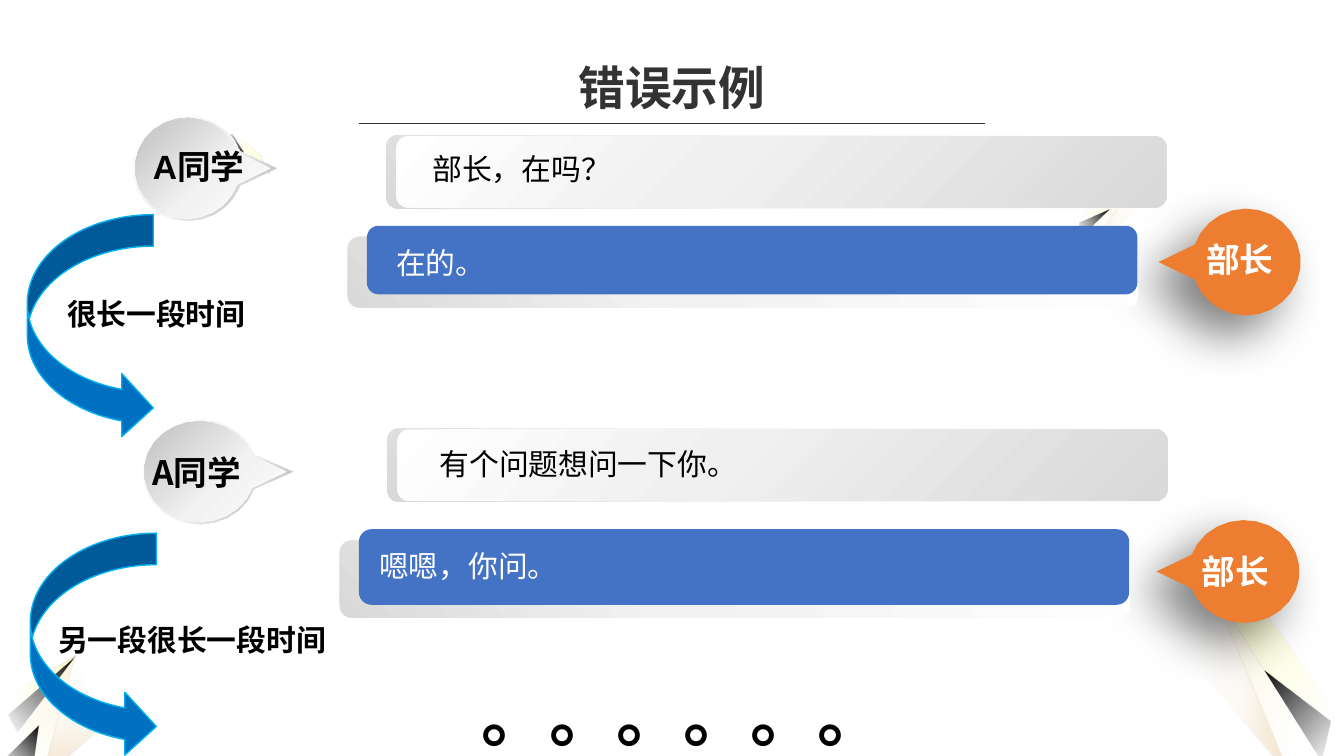
import math
from dataclasses import dataclass

from pptx import Presentation
from pptx import util as u
from pptx.dml.color import RGBColor
from pptx.enum import shapes, text
from pptx.oxml import parse_xml
from pptx.oxml.ns import nsdecls, qn

Point = tuple[float, float]
Stops = list[tuple[int, str, int]]  # position %, colour, opacity %
ARIAL, NOTO = "Arial", "Noto Sans CJK SC"
LEFT, CENTER, JUSTIFY = text.PP_ALIGN.LEFT, text.PP_ALIGN.CENTER, text.PP_ALIGN.JUSTIFY

CREAM: Stops = [(0, "FAE9AB", 40), (41, "FAE9AB", 22), (85, "FAE9AB", 0)]
TAN: Stops = [(0, "E9CC9E", 55), (50, "E9CC9E", 12), (98, "E9CC9E", 0)]
LEMON: Stops = [(0, "FFFFC1", 100), (42, "FFFFC1", 42), (88, "FFFFC1", 0)]
INK: Stops = [(0, "0B0B0B", 100), (50, "0B0B0B", 47), (100, "0B0B0B", 0)]
RIM: Stops = [(0, "FFFFFF", 100), (55, "F2F2F2", 100), (100, "A6A6A6", 100)]
FACE: Stops = [(0, "FFFFFF", 100), (43, "F2F2F2", 100), (100, "BFBFBF", 100)]
BAR_BACK: Stops = [(0, "FFFFFF", 100), (62, "F2F2F2", 100), (100, "D9D9D9", 100)]
BAR_FRONT: Stops = [(0, "FFFFFF", 100), (42, "F0F0F0", 100), (100, "D9D9D9", 100)]


@dataclass
class Facet:
    points: list[Point]
    stops: Stops
    angle: float


@dataclass
class Crystal:
    """A mirrored, scaled repeat of the large crystal; turn is in degrees."""
    tip: Point
    turn: float
    scale: float


@dataclass
class Bubble:
    center: Point
    radii: Point
    tip_x: float


@dataclass
class Bar:
    left: float
    top: float
    height: float


@dataclass
class Label:
    words: str
    box: tuple[float, float, float, float]
    size: float = 21.3
    color: str = "000000"
    font: str = NOTO
    bold: bool = False
    align: text.PP_ALIGN = LEFT
    spacing: float | None = None


SMALL_CRYSTAL = [
    Facet([(0.18, 7.28), (0.74, 6.5), (0.42, 7.73)], CREAM, 132),
    Facet([(0.99, 7.23), (0.41, 7.73), (0.74, 6.5)], TAN, 267),
    Facet([(0.1, 6.89), (0.76, 6.5), (0.09, 7.09)], LEMON, 154),
    Facet([(0.09, 7.09), (0.74, 6.52), (0.18, 7.27)], INK, 138),
    Facet([(0.07, 7.51), (0.38, 7.2), (0.31, 7.7)], INK, 138),
]
TIP = (12.01, 5.78)
LARGE_CRYSTAL = [
    Facet([(12.89, 7.24), TIP, (12.81, 7.78)], CREAM, 48),
    Facet([(11.87, 6.61), (12.79, 7.69), TIP], TAN, 183),
    Facet([(12.63, 6.18), TIP, (12.54, 6.65), (13.39, 7.3)], LEMON, 26),
    Facet([(13.2, 7.15), (12.54, 6.65), (13.11, 7.55)], INK, 42),
]
CRYSTALS = [Crystal((11.27, 1.8), 193, 0.38), Crystal((2.67, 1.72), 276, 0.29)]
RIMS = [Bubble((1.86, 1.67), (0.55, 0.52), 2.74), Bubble((1.98, 4.68), (0.57, 0.52), 2.9)]
FACES = [Bubble((1.86, 1.67), (0.52, 0.5), 2.68), Bubble((1.98, 4.68), (0.55, 0.5), 2.84)]
CHIEFS = [Bubble((12.36, 2.6), (0.54, 0.53), 11.49), Bubble((12.34, 5.67), (0.55, 0.51), 11.47)]
QUESTION_BARS = [Bar(3.83, 1.34, 0.73), Bar(3.84, 4.25, 0.73)]
ANSWER_BARS = [Bar(3.45, 2.35, 0.7), Bar(3.37, 5.36, 0.77)]
ARROWS = [(0.27, 2.13), (0.3, 5.29)]
LABELS = [
    Label("部长，在吗？", (4.29, 1.57, 6.93, 0.28), font=ARIAL, align=JUSTIFY, spacing=20),
    Label("A同学", (1.33, 1.45, 1.28, 0.4), 24, font=ARIAL, bold=True, align=CENTER),
    Label("部长", (11.63, 2.37, 1.33, 0.4), 24, "FFFFFF", ARIAL, True, CENTER),
    Label("在的。", (3.93, 2.5, 6.85, 0.28), color="FCFCFC", font=ARIAL, align=JUSTIFY, spacing=20),
    Label("很长一段时间", (0.56, 2.93, 1.98, 0.36), bold=True, align=CENTER),
    Label("A同学", (1.51, 4.48, 1.03, 0.4), 24, bold=True),
    Label("有个问题想问一下你。", (4.36, 4.42, 4.62, 0.36)),
    Label("部长", (11.92, 5.47, 0.83, 0.4), 24, "FFFFFF", bold=True),
    Label("嗯嗯，你问。", (3.76, 5.43, 3.52, 0.36), color="FFFFFF"),
    Label("另一段很长一段时间", (0.48, 6.17, 2.85, 0.36), bold=True, align=CENTER),
    Label("。。。。。。", (4.78, 6.69, 5.06, 0.81), 48, bold=True),
]


def inch(value: float) -> u.Cm:
    return u.Cm(value * 2.54)


def rgb(color: str) -> RGBColor:
    return RGBColor.from_string(color)


def paint(shape, color: str) -> None:
    shape.shadow.inherit = False
    shape.line.fill.background()
    shape.fill.solid()
    shape.fill.fore_color.rgb = rgb(color)


def shade(shape, stops: Stops, angle: float) -> None:
    """Fill with a linear gradient whose angle runs clockwise from the right."""
    paint(shape, stops[0][1])
    marks = "".join(
        f'<a:gs pos="{place * 1000}"><a:srgbClr val="{color}">'
        f'<a:alpha val="{opacity * 1000}"/></a:srgbClr></a:gs>'
        for place, color, opacity in stops)
    gradient = parse_xml(
        f'<a:gradFill {nsdecls("a")} rotWithShape="1"><a:gsLst>{marks}</a:gsLst>'
        f'<a:lin ang="{round(angle % 360 * 60000)}" scaled="0"/></a:gradFill>')
    properties = shape.element.spPr
    properties.replace(properties.find(qn("a:solidFill")), gradient)


def cast_shadow(shape) -> None:
    shape.element.spPr.find(qn("a:effectLst")).append(parse_xml(
        f'<a:outerShdw {nsdecls("a")} blurRad="{u.Pt(35)}" dist="{u.Pt(20)}" dir="8100000" '
        'algn="tr" rotWithShape="0"><a:srgbClr val="000000"><a:alpha val="50000"/>'
        '</a:srgbClr></a:outerShdw>'))


def add_outline(page, points: list[Point]):
    corners = [(inch(x), inch(y)) for x, y in points]
    builder = page.shapes.build_freeform(*corners[0])
    builder.add_line_segments(corners[1:], close=True)
    return builder.convert_to_shape()


def add_facet(page, facet: Facet) -> None:
    shade(add_outline(page, facet.points), facet.stops, facet.angle)


def mirrored(facet: Facet, crystal: Crystal) -> Facet:
    cos, sin = math.cos(math.radians(crystal.turn)), math.sin(math.radians(crystal.turn))
    points = []
    for x, y in facet.points:
        dx, dy = (x - TIP[0]) * crystal.scale, (y - TIP[1]) * crystal.scale
        points.append((crystal.tip[0] + dx * cos + dy * sin, crystal.tip[1] + dx * sin - dy * cos))
    return Facet(points, facet.stops, crystal.turn - facet.angle)


def add_bubble(page, bubble: Bubble):
    """An ellipse with a pointed tail at the height of its centre."""
    (x, y), (width, height) = bubble.center, bubble.radii
    side = math.copysign(1, bubble.tip_x - x)
    arc = [math.radians(degrees) for degrees in range(19, 342, 14)]
    points = [(x + side * width * math.cos(a), y + height * math.sin(a)) for a in arc]
    return add_outline(page, [(bubble.tip_x, y), *points])


def add_preset(page, kind: shapes.MSO_SHAPE, *box: float):
    return page.shapes.add_shape(kind, *map(inch, box))


def add_bar(page, left: float, top: float, width: float, height: float):
    return add_preset(page, shapes.MSO_SHAPE.ROUNDED_RECTANGLE, left, top, width, height)


def set_font(para, size: float, color: str, name: str, bold: bool) -> None:
    font = para.font
    font.size, font.bold, font.name = u.Pt(size), bold, name
    font.color.rgb = rgb(color)
    if name == NOTO:
        font._element.find(qn("a:latin")).addnext(
            parse_xml(f'<a:ea {nsdecls("a")} typeface="{name}"/>'))


def add_label(page, label: Label) -> None:
    frame = page.shapes.add_textbox(*map(inch, label.box)).text_frame
    frame.margin_left = frame.margin_right = frame.margin_top = frame.margin_bottom = 0
    frame.word_wrap = True
    para = frame.paragraphs[0]
    para.text, para.alignment = label.words, label.align
    if label.spacing:
        para.line_spacing = u.Pt(label.spacing)
    set_font(para, label.size, label.color, label.font, label.bold)


def add_title(page) -> None:
    title = page.shapes.title
    title.left, title.top, title.width, title.height = map(inch, (4.2, 0.53, 4.93, 0.66))
    title.text_frame.text = "错误示例"
    title.text_frame.vertical_anchor = text.MSO_ANCHOR.MIDDLE
    para = title.text_frame.paragraphs[0]
    para.alignment = CENTER
    set_font(para, 33.3, "333333", NOTO, True)
    rule = page.shapes.add_connector(
        shapes.MSO_CONNECTOR.STRAIGHT, *map(inch, (3.56, 1.23, 9.77, 1.23)))
    rule.line.color.rgb, rule.line.width = rgb("333333"), u.Pt(0.75)
    rule.element.spPr.append(parse_xml(f'<a:effectLst {nsdecls("a")}/>'))


def main() -> None:
    deck = Presentation()
    deck.slide_width, deck.slide_height = inch(13.33), inch(7.5)
    page = deck.slides.add_slide(deck.slide_layouts[5])
    repeats = [mirrored(facet, crystal) for crystal in CRYSTALS for facet in LARGE_CRYSTAL]
    for facet in SMALL_CRYSTAL + LARGE_CRYSTAL + repeats:
        add_facet(page, facet)
    add_title(page)
    for rim, face in zip(RIMS, FACES):
        shade(add_bubble(page, rim), RIM, 45)
        shade(add_bubble(page, face), FACE, 225)
    for chief in CHIEFS:
        shape = add_bubble(page, chief)
        paint(shape, "ED7D31")
        cast_shadow(shape)
    for bar in QUESTION_BARS + ANSWER_BARS:
        shade(add_bar(page, bar.left, bar.top, 7.84, bar.height), BAR_BACK, 135)
    for bar in QUESTION_BARS:
        front = add_bar(page, bar.left + 0.1, bar.top + 0.01, 7.64, bar.height - 0.02)
        shade(front, BAR_FRONT, 45)
    for bar in ANSWER_BARS:
        paint(add_bar(page, bar.left + 0.19, bar.top - 0.11, 7.64, bar.height - 0.02), "4472C4")
    for label in LABELS:
        add_label(page, label)
    for left, top in ARROWS:
        arrow = add_preset(page, shapes.MSO_SHAPE.CURVED_RIGHT_ARROW, left, top, 1.25, 2.23)
        paint(arrow, "0070C0")
        arrow.line.color.rgb, arrow.line.width = rgb("00B0F0"), u.Pt(1)
    deck.save("out.pptx")


if __name__ == "__main__":
    main()
